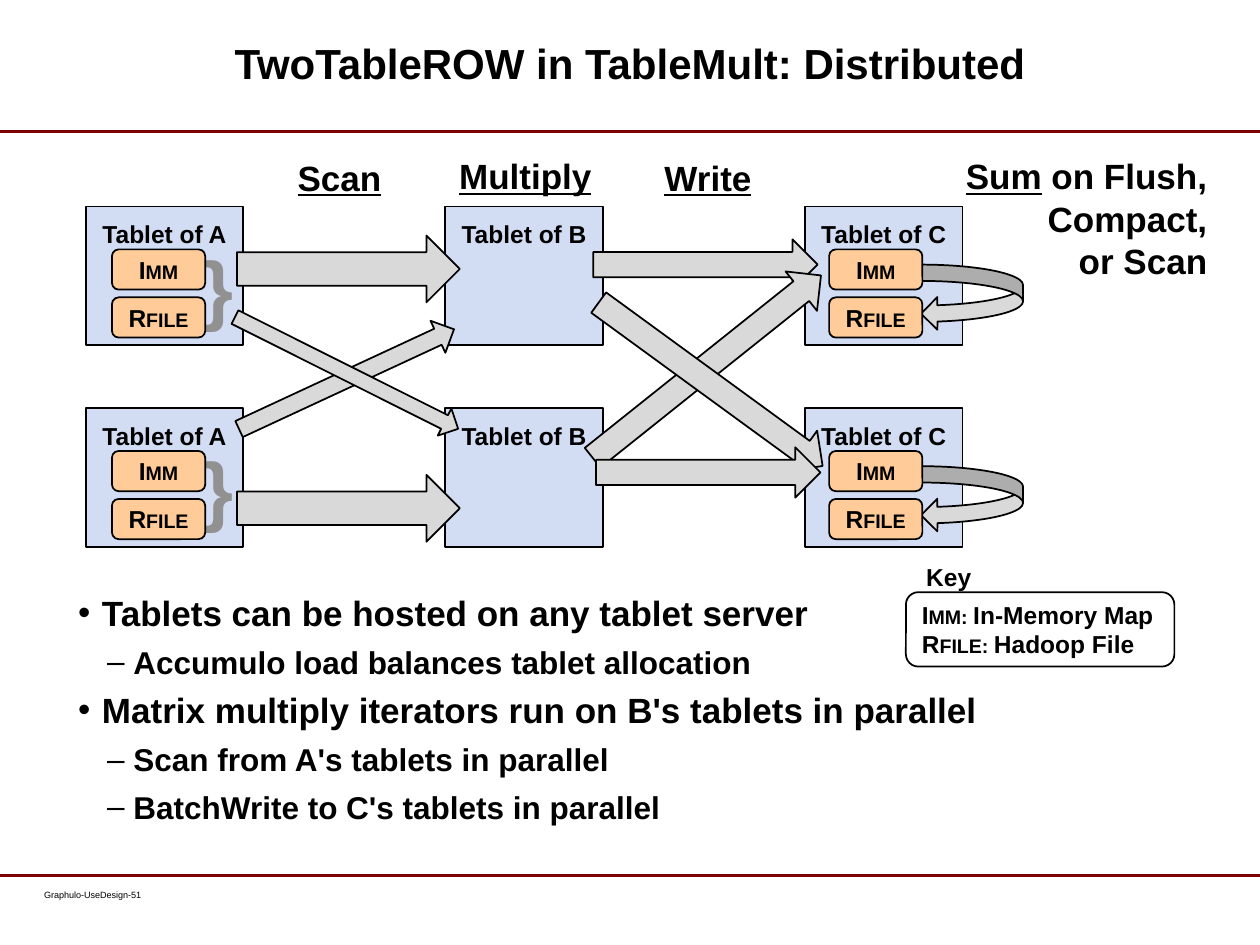
from lxml import etree
from pptx import Presentation
from pptx.dml.color import RGBColor
from pptx.enum.shapes import MSO_CONNECTOR, MSO_SHAPE
from pptx.enum.text import MSO_ANCHOR, MSO_AUTO_SIZE, PP_ALIGN
from pptx.oxml.ns import qn
from pptx.util import Pt

LEFT, CENTER, RIGHT = PP_ALIGN.LEFT, PP_ALIGN.CENTER, PP_ALIGN.RIGHT
TOP, MIDDLE = MSO_ANCHOR.TOP, MSO_ANCHOR.MIDDLE
NO_AUTOFIT = MSO_AUTO_SIZE.NONE
STRAIGHT = MSO_CONNECTOR.STRAIGHT
PROCESS = MSO_SHAPE.FLOWCHART_PROCESS
ROUNDED = MSO_SHAPE.FLOWCHART_ALTERNATE_PROCESS
ARROW = MSO_SHAPE.RIGHT_ARROW
RETURN_ARROW = MSO_SHAPE.CURVED_LEFT_ARROW

FONT = "Arial"
COLORS = {
    "text": "000000",
    "rule": "800000",
    "tablet": "D2DCF2",
    "store": "FFCC99",
    "arrow": "D9D9D9",
    "brace": "919191",
}

TABLET_COLUMNS = {"A": 49, "B": 254.5, "C": 460}
TABLET_ROWS = (118, 233.2)
STORE_COLUMNS = (64, 473.8)

# left, top, width, height, rotation
FLOW_ARROWS = (
    (135.4, 134.6, 127.4, 38.2, 0),
    (339, 136.8, 128.2, 28.8, 0),
    (320.4, 195.1, 167, 28.8, 321.4),
    (135.4, 271.4, 127.4, 38.2, 0),
    (326.9, 205.2, 158.4, 28.8, 36.1),
    (340.6, 255.6, 128.2, 28.8, 0),
    (130.3, 206.6, 135.4, 20.2, 335.1),
    (126.7, 204.5, 142.6, 17.3, 26.6),
)

# left, top, width of the step headings
STEPS = {
    "Scan": (162.7, 85.7, 62.6),
    "Multiply": (254.9, 85, 90.7),
    "Write": (372.2, 85.7, 64.8),
}

BULLETS = (
    (0, "Tablets can be hosted on any tablet server"),
    (1, "Accumulo load balances tablet allocation"),
    (0, "Matrix multiply iterators run on B's tablets in parallel"),
    (1, "Scan from A's tablets in parallel"),
    (1, "BatchWrite to C's tablets in parallel"),
)
# character, margin, hanging indent, line spacing, text size
BULLET_LEVELS = (("•", 13.7, 13.7, 16.5, 20), ("–", 31.7, 15.1, 15, 18))


def color(name):
    return RGBColor.from_string(COLORS[name])


def points(*lengths):
    return [Pt(length) for length in lengths]


def add_text(paragraph, text, size=14, bold=True, underline=False,
             small_caps=False, fill="text", align=None):
    """Add a formatted run to the paragraph."""
    if align is not None:
        paragraph.alignment = align
    run = paragraph.add_run()
    run.text = text
    run.font.name = FONT
    run.font.size = Pt(size)
    run.font.bold = bold
    run.font.underline = underline
    run.font.color.rgb = color(fill)
    if small_caps:
        run.font._element.set("cap", "small")


def add_box(shapes, kind, box, fill=None, anchor=MIDDLE):
    shape = shapes.add_shape(kind, *points(*box))
    shape.shadow.inherit = False
    if fill:
        shape.fill.solid()
        shape.fill.fore_color.rgb = color(fill)
    else:
        shape.fill.background()
    shape.line.color.rgb = color("text")
    shape.line.width = Pt(1)
    shape.text_frame.vertical_anchor = anchor
    return shape


def add_label(shapes, box, text, wrap=False, align=CENTER, **text_format):
    """Add a text box and return its text frame."""
    frame = shapes.add_textbox(*points(*box)).text_frame
    frame.word_wrap = wrap
    add_text(frame.paragraphs[0], text, align=align, **text_format)
    return frame


def add_rule(shapes, top):
    rule = shapes.add_connector(STRAIGHT, *points(0, top, 720, top))
    rule.line.color.rgb = color("rule")
    rule.line.width = Pt(1.75)
    etree.SubElement(rule._element.spPr, qn("a:effectLst"))


def add_tablet(shapes, name, left, top):
    tablet = add_box(shapes, PROCESS, (left, top, 90, 79.2), "tablet", TOP)
    tablet.text_frame.margin_top = Pt(7.4)
    add_text(tablet.text_frame.paragraphs[0], f"Tablet of {name}", align=CENTER)


def add_stores(shapes, left, top):
    for index, name in enumerate(("Imm", "Rfile")):
        box = (left, top + 27.4 * index, 53.3, 23)
        store = add_box(shapes, ROUNDED, box, "store")
        add_text(store.text_frame.paragraphs[0], name, small_caps=True, align=CENTER)


def add_key(shapes):
    group = shapes.add_group_shape().shapes
    legend = add_box(group, ROUNDED, (517.7, 338.4, 153.4, 42.5)).text_frame
    entries = (("Imm: ", "In-Memory Map"), ("Rfile: ", "Hadoop File"))
    for index, (term, meaning) in enumerate(entries):
        paragraph = legend.add_paragraph() if index else legend.paragraphs[0]
        add_text(paragraph, term, small_caps=True, align=LEFT)
        add_text(paragraph, meaning)
    add_label(group, (522, 317.5, 40.3, 24.5), "Key")


def place(placeholder, box):
    """Move a placeholder and return its text frame."""
    placeholder.left, placeholder.top, placeholder.width, placeholder.height = points(*box)
    placeholder.text_frame.auto_size = NO_AUTOFIT
    return placeholder.text_frame


def fill_title(placeholder):
    frame = place(placeholder, (74.2, 7.9, 571.6, 64.1))
    frame.vertical_anchor = MIDDLE
    paragraph = frame.paragraphs[0]
    paragraph.line_spacing = Pt(21)
    add_text(paragraph, "TwoTableROW in TableMult: Distributed", size=24, align=CENTER)


def fill_bullets(placeholder):
    frame = place(placeholder, (37.4, 342, 645.2, 139.7))
    frame.vertical_anchor = TOP
    for index, (level, text) in enumerate(BULLETS):
        character, margin, hanging, spacing, size = BULLET_LEVELS[level]
        paragraph = frame.add_paragraph() if index else frame.paragraphs[0]
        paragraph.level = level
        paragraph.line_spacing = Pt(spacing)
        paragraph.space_before = Pt(9 if index else 0)
        paragraph.space_after = Pt(3)
        properties = paragraph._p.get_or_add_pPr()
        properties.set("marL", str(Pt(margin)))
        properties.set("indent", str(-Pt(hanging)))
        etree.SubElement(properties, qn("a:buFont"), typeface=FONT)
        etree.SubElement(properties, qn("a:buChar"), char=character)
        add_text(paragraph, text, size=size, align=LEFT)


def add_diagram(shapes):
    for name, left in TABLET_COLUMNS.items():
        for top in TABLET_ROWS:
            add_tablet(shapes, name, left, top)
    for *box, rotation in FLOW_ARROWS:
        add_box(shapes, ARROW, box, "arrow").rotation = rotation
    for top in TABLET_ROWS:
        add_box(shapes, RETURN_ARROW, (526.3, top + 33.2, 58.3, 37.4), "arrow")
        add_label(shapes, (108.7, top + 15.2, 32.4, 60.5), "}", size=44, fill="brace")
        for left in STORE_COLUMNS:
            add_stores(shapes, left, top + 24.5)
    for text, (left, top, width) in STEPS.items():
        add_label(shapes, (left, top, width, 31.7), text, size=20, underline=True)
    total = add_label(shapes, (517.7, 85, 179.3, 79.9), "Sum", wrap=True,
                      align=RIGHT, size=20, underline=True)
    add_text(total.paragraphs[0], " on Flush, Compact,", size=20)
    add_text(total.add_paragraph(), "or Scan", size=20, align=RIGHT)


def main():
    presentation = Presentation()
    presentation.slide_width, presentation.slide_height = points(720, 540)
    slide = presentation.slides.add_slide(presentation.slide_layouts[1])
    shapes = slide.shapes
    for top in (74.9, 500.4):
        add_rule(shapes, top)
    footer = add_label(shapes, (25.2, 508.3, 85.7, 17.3), "Graphulo-UseDesign-51",
                       wrap=True, align=LEFT, size=5.2, bold=False)
    footer.margin_left = footer.margin_top = footer.margin_right = footer.margin_bottom = 0
    fill_title(shapes.title)
    fill_bullets(slide.placeholders[1])
    add_diagram(shapes)
    add_key(shapes)
    presentation.save("out.pptx")


if __name__ == "__main__":
    main()
